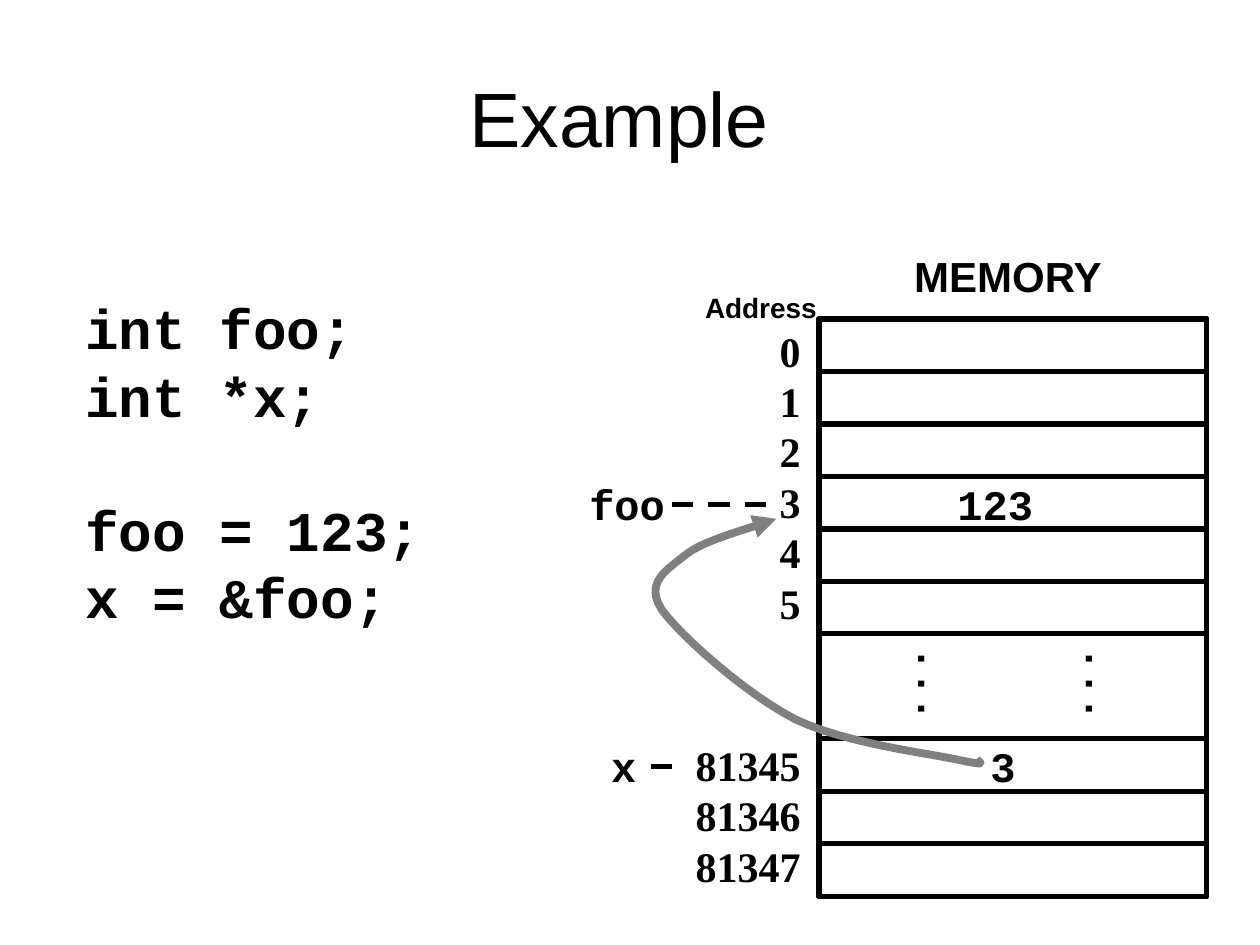
import pptx
import pptx.dml.color
import pptx.enum.dml
import pptx.enum.shapes
import pptx.enum.text
import pptx.oxml
import pptx.oxml.ns
import pptx.util

Cm, Pt = pptx.util.Cm, pptx.util.Pt
ALIGN = pptx.enum.text.PP_ALIGN
ANCHOR = pptx.enum.text.MSO_ANCHOR
RECTANGLE = pptx.enum.shapes.MSO_SHAPE.RECTANGLE
COLORS = {"ink": "000000", "paper": "FFFFFF", "pointer": "808080"}
FONTS = {"code": "Courier New", "address": "Times New Roman", "label": "Arial"}
ROWS = 11
CURVE_STEPS = 12


def color(name):
    return pptx.dml.color.RGBColor.from_string(COLORS[name])


def apply(target, **values):
    for name, value in values.items():
        setattr(target, name, value)


def draw_line(shape, name, width):
    shape.line.color.rgb = color(name)
    shape.line.width = Pt(width)


def write(box, lines, font, size, align=ALIGN.LEFT, wrap=True, anchor=ANCHOR.TOP,
          gaps=None, bold=True, spacing=None):
    frame = box.text_frame
    apply(frame, word_wrap=wrap, vertical_anchor=anchor)
    for index, line in enumerate(lines):
        para = frame.paragraphs[0] if index == 0 else frame.add_paragraph()
        apply(para, alignment=align, line_spacing=spacing)
        if gaps and index in gaps:
            para.space_before = Pt(gaps[index])
        span = para.add_run()
        apply(span, text=line)
        apply(span.font, name=FONTS[font], size=Pt(size), bold=bold)
        span.font.color.rgb = color("ink")


def add_text(page, left, top, width, height, lines, font, size, **format_values):
    box = page.shapes.add_textbox(Cm(left), Cm(top), Cm(width), Cm(height))
    write(box, lines, font, size, **format_values)
    return box


def add_rectangle(page, left, top, width, height, outlined=True):
    shape = page.shapes.add_shape(RECTANGLE, Cm(left), Cm(top), Cm(width), Cm(height))
    shape.shadow.inherit = False
    shape.fill.solid()
    shape.fill.fore_color.rgb = color("paper")
    if outlined:
        draw_line(shape, "ink", 3)
    else:
        shape.line.fill.background()
    return shape


def add_title(page, left, top, width, height):
    title = page.shapes.title
    apply(title, left=Cm(left), top=Cm(top), width=Cm(width), height=Cm(height))
    write(title, ["Example "], "label", 44, align=ALIGN.CENTER, anchor=ANCHOR.MIDDLE, bold=False)


def add_code(page, left, top, width, height):
    lines = ["int foo;", "int *x;", "foo = 123;", "x = &foo;"]
    add_text(page, left, top, width, height, lines, "code", 32,
             gaps={2: 38.4}, spacing=Pt(38.4))


def add_memory(page, left, top, width, height):
    row = height / ROWS
    add_rectangle(page, left, top, width, height)
    for index in (0, 1, 2, 3, 4, 5, 8, 9, 10):
        add_rectangle(page, left, top + index * row, width, row)
    for offset in (1.32, 4.7):
        dots = add_text(page, left + offset, top + 6.73, 2.03, 1.27, ["..."], "code", 24, wrap=False)
        dots.rotation = 90
    heading = add_rectangle(page, left, top - 1.5, 7.62, 1.27, outlined=False)
    write(heading, ["MEMORY"], "label", 24, align=ALIGN.CENTER, wrap=False, anchor=ANCHOR.MIDDLE)
    addresses = ["0", "1", "2", "3", "4", "5", "81345", "81346", "81347"]
    add_text(page, left - 2.74, top, 2.62, 12.65, addresses, "address", 24,
             align=ALIGN.RIGHT, wrap=False, gaps={6: 64}, spacing=Pt(28.8))
    add_text(page, left - 3.61, top - 0.86, 4.88, 1.27, ["Address"], "label", 16,
             align=ALIGN.CENTER, wrap=False, anchor=ANCHOR.MIDDLE)


def add_variable(page, left, top, name, value, value_offset, value_align, dash_start, dash_end):
    add_text(page, left, top, 2.74, 1.27, [name], "code", 24)
    add_text(page, left + value_offset, top, 2.74, 1.27, [value], "code", 24, align=value_align)
    dash_top = Cm(top + 0.64)
    dash = page.shapes.add_connector(pptx.enum.shapes.MSO_CONNECTOR.STRAIGHT,
                                     Cm(left + dash_start), dash_top, Cm(left + dash_end), dash_top)
    draw_line(dash, "ink", 3)
    dash.line.dash_style = pptx.enum.dml.MSO_LINE.DASH
    dash._element.spPr.append(pptx.oxml.parse_xml(
        f'<a:effectLst {pptx.oxml.ns.nsdecls("a")}/>'))


def bezier(start, first, second, end):
    for step in range(1, CURVE_STEPS + 1):
        t = step / CURVE_STEPS
        weights = ((1 - t) ** 3, 3 * t * (1 - t) ** 2, 3 * t ** 2 * (1 - t), t ** 3)
        yield tuple(sum(weight * point[axis] for weight, point
                        in zip(weights, (start, first, second, end))) for axis in (0, 1))


def add_pointer(page, left, top):
    start = (6.71, 4.85)
    curves = [
        ((6.81, 4.93), (6.91, 4.98), (6.3, 4.85)),
        ((5.69, 4.72), (4.04, 4.52), (3.05, 4.04)),
        ((2.06, 3.53), (0.74, 2.36), (0.36, 1.83)),
        ((0, 1.27), (0.48, 1.02), (0.86, 0.71)),
        ((1.24, 0.41), (2.29, 0.15), (2.67, 0)),
    ]
    builder = page.shapes.build_freeform(Cm(left + start[0]), Cm(top + start[1]))
    for first, second, end in curves:
        points = [(Cm(left + x), Cm(top + y)) for x, y in bezier(start, first, second, end)]
        builder.add_line_segments(points, close=False)
        start = end
    arrow = builder.convert_to_shape()
    arrow.shadow.inherit = False
    arrow.fill.background()
    draw_line(arrow, "pointer", 4.5)
    arrow.line._get_or_add_ln().append(pptx.oxml.parse_xml(
        f'<a:tailEnd {pptx.oxml.ns.nsdecls("a")} type="triangle"/>'))


def main():
    deck = pptx.Presentation()
    apply(deck, slide_width=Cm(25.4), slide_height=Cm(19.05))
    page = deck.slides.add_slide(deck.slide_layouts[5])
    add_title(page, 1.27, 0.76, 22.86, 3.18)
    add_memory(page, 16.51, 6.43, 7.82, 11.64)
    add_code(page, 1.47, 5.8, 9.32, 7.04)
    add_variable(page, 11.63, 9.53, "foo", "123", 7.42, ALIGN.LEFT, 1.91, 4.04)
    add_variable(page, 12.07, 14.81, "x", "3", 6.78, ALIGN.CENTER, 1.06, 1.7)
    add_pointer(page, 12.98, 10.46)
    deck.save("out.pptx")


if __name__ == "__main__":
    main()
